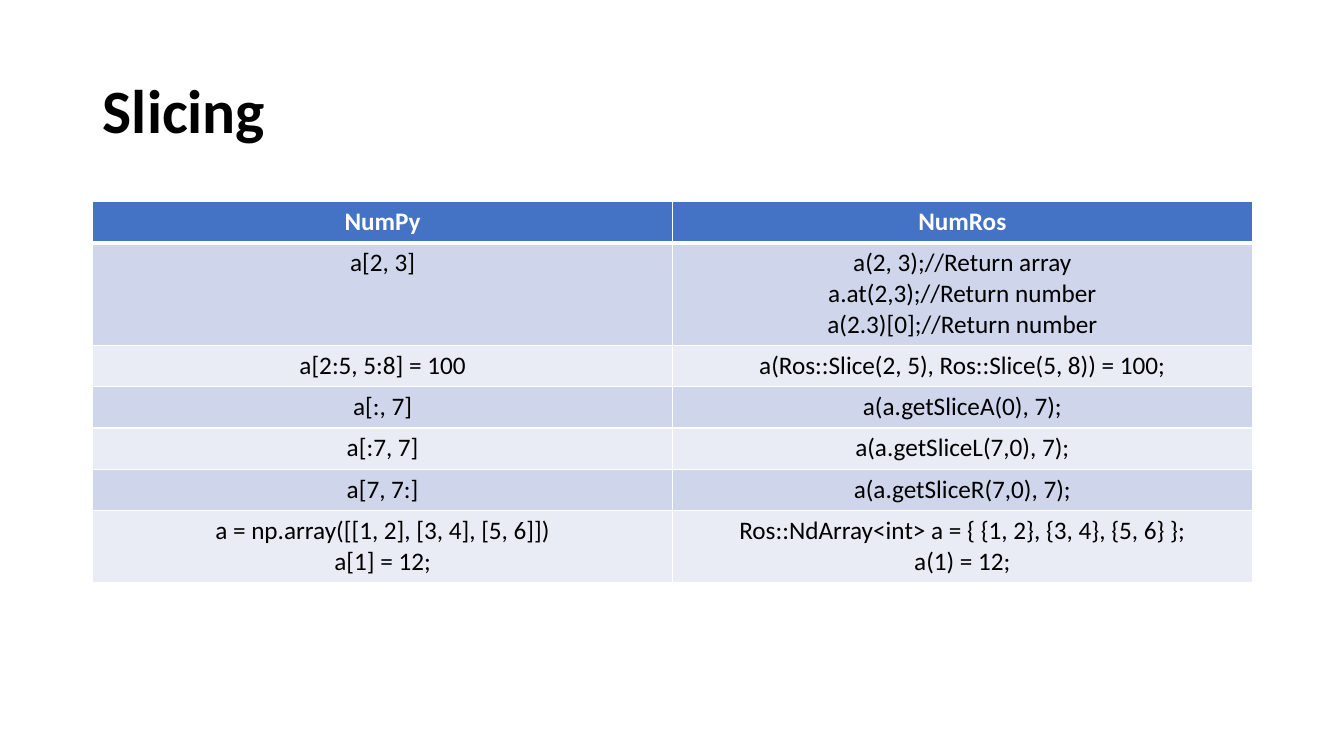
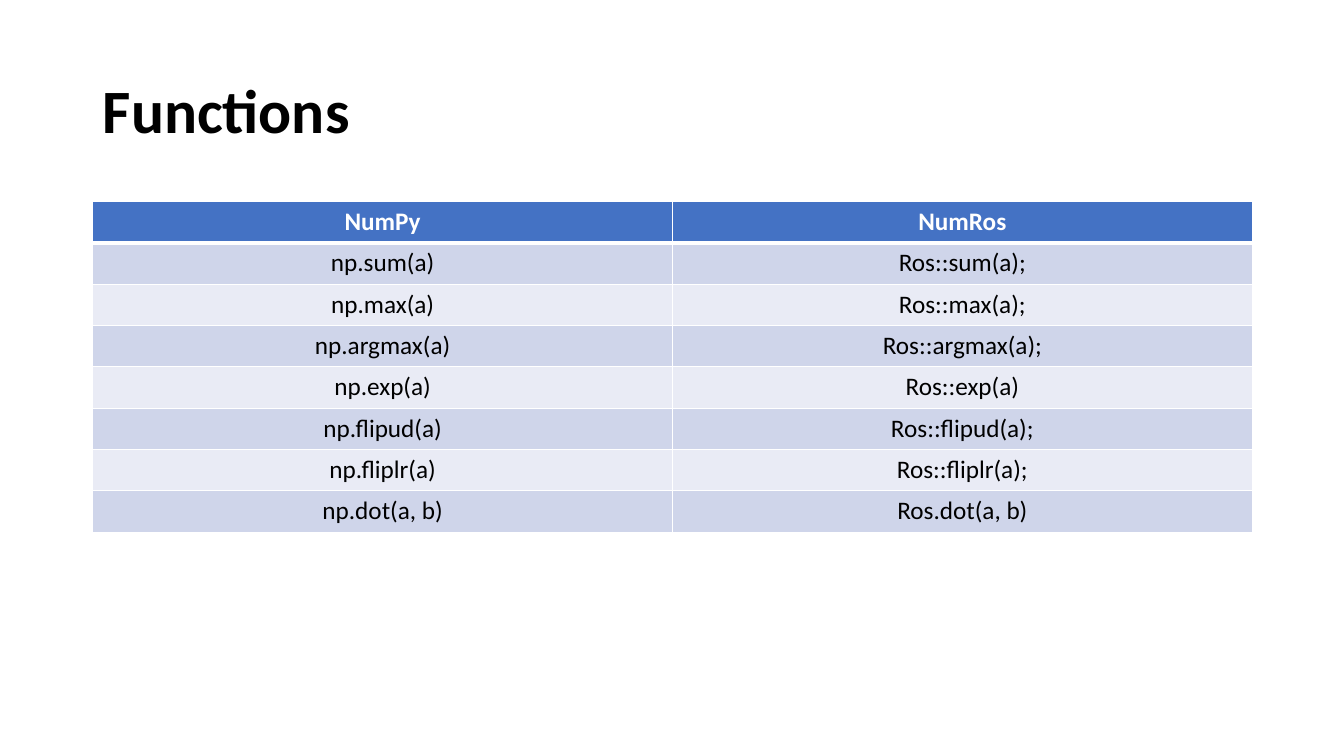
from lxml.etree import SubElement
from pptx import Presentation
from pptx.dml.color import RGBColor
from pptx.enum.text import MSO_ANCHOR, MSO_AUTO_SIZE, PP_ALIGN
from pptx.oxml.ns import qn
from pptx.util import Inches, Pt

FONT = "Calibri"
COLORS = {
    "text": "000000",
    "header_text": "FFFFFF",
    "border": "FFFFFF",
    "header": "4472C4",
    "odd_row": "CFD5EA",
    "even_row": "E9EBF5",
}
LEFT, WIDTH = 0.92, 11.5
ROW_HEIGHT, EXTRA_LINE = 0.41, 0.3

HEADINGS = ("NumPy", "NumRos")
TOPICS = {
    "Slicing": [
        ("a[2, 3]", "a(2, 3);//Return array\na.at(2,3);//Return number\na(2.3)[0];//Return number"),
        ("a[2:5, 5:8] = 100", "a(Ros::Slice(2, 5), Ros::Slice(5, 8)) = 100;"),
        ("a[:, 7]", "a(a.getSliceA(0), 7);"),
        ("a[:7, 7]", "a(a.getSliceL(7,0), 7);"),
        ("a[7, 7:]", "a(a.getSliceR(7,0), 7);"),
        ("a = np.array([[1, 2], [3, 4], [5, 6]])\na[1] = 12;",
         "Ros::NdArray<int> a = { {1, 2}, {3, 4}, {5, 6} };\na(1) = 12;"),
    ],
    "Functions": [
        ("np.sum(a)", "Ros::sum(a);"),
        ("np.max(a)", "Ros::max(a);"),
        ("np.argmax(a)", "Ros::argmax(a);"),
        ("np.exp(a)", "Ros::exp(a)"),
        ("np.flipud(a)", "Ros::flipud(a);"),
        ("np.fliplr(a)", "Ros::fliplr(a);"),
        ("np.dot(a, b)", "Ros.dot(a, b)"),
    ],
}


def add_text(paragraph, text, size, color, bold, align):
    paragraph.alignment = align
    run = paragraph.add_run()
    run.text = text
    run.font.name = FONT
    run.font.size = Pt(size)
    run.font.bold = bold
    run.font.color.rgb = RGBColor.from_string(COLORS[color])


def style_cell(cell, fill, top, bottom):
    properties = cell._tc.get_or_add_tcPr()
    for side, points in (("L", 1), ("R", 1), ("T", top), ("B", bottom)):
        line = SubElement(properties, qn(f"a:ln{side}"), w=str(Pt(points)))
        solid = SubElement(line, qn("a:solidFill"))
        SubElement(solid, qn("a:srgbClr"), val=COLORS["border"])
    cell.fill.solid()
    cell.fill.fore_color.rgb = RGBColor.from_string(COLORS[fill])


prs = Presentation()
prs.slide_width = Inches(13.33)
prs.slide_height = Inches(7.5)

for topic, examples in TOPICS.items():
    slide = prs.slides.add_slide(prs.slide_layouts[5])
    title = slide.shapes.title
    title.left, title.top = Inches(LEFT), Inches(0.4)
    title.width, title.height = Inches(WIDTH), Inches(1.45)
    title.text_frame.auto_size = MSO_AUTO_SIZE.NONE
    title.text_frame.vertical_anchor = MSO_ANCHOR.MIDDLE
    heading = title.text_frame.paragraphs[0]
    heading.line_spacing = 0.9
    add_text(heading, topic, 44, "text", True, PP_ALIGN.LEFT)

    rows = [HEADINGS, *examples]
    comparison = slide.shapes.add_table(
        len(rows), len(HEADINGS), Inches(LEFT), Inches(2),
        Inches(WIDTH), Inches(ROW_HEIGHT * len(rows))).table

    for r, row in enumerate(rows):
        is_header = r == 0
        extra_lines = max(code.count("\n") for code in row)
        comparison.rows[r].height = Inches(ROW_HEIGHT + EXTRA_LINE * extra_lines)
        fill = "header" if is_header else "odd_row" if r % 2 else "even_row"
        color = "header_text" if is_header else "text"
        for c, code in enumerate(row):
            cell = comparison.cell(r, c)
            style_cell(cell, fill, 3 if r == 1 else 1, 3 if is_header else 1)
            frame = cell.text_frame
            for i, code_line in enumerate(code.split("\n")):
                paragraph = frame.add_paragraph() if i else frame.paragraphs[0]
                add_text(paragraph, code_line, 18, color, is_header, PP_ALIGN.CENTER)

prs.save("out.pptx")
